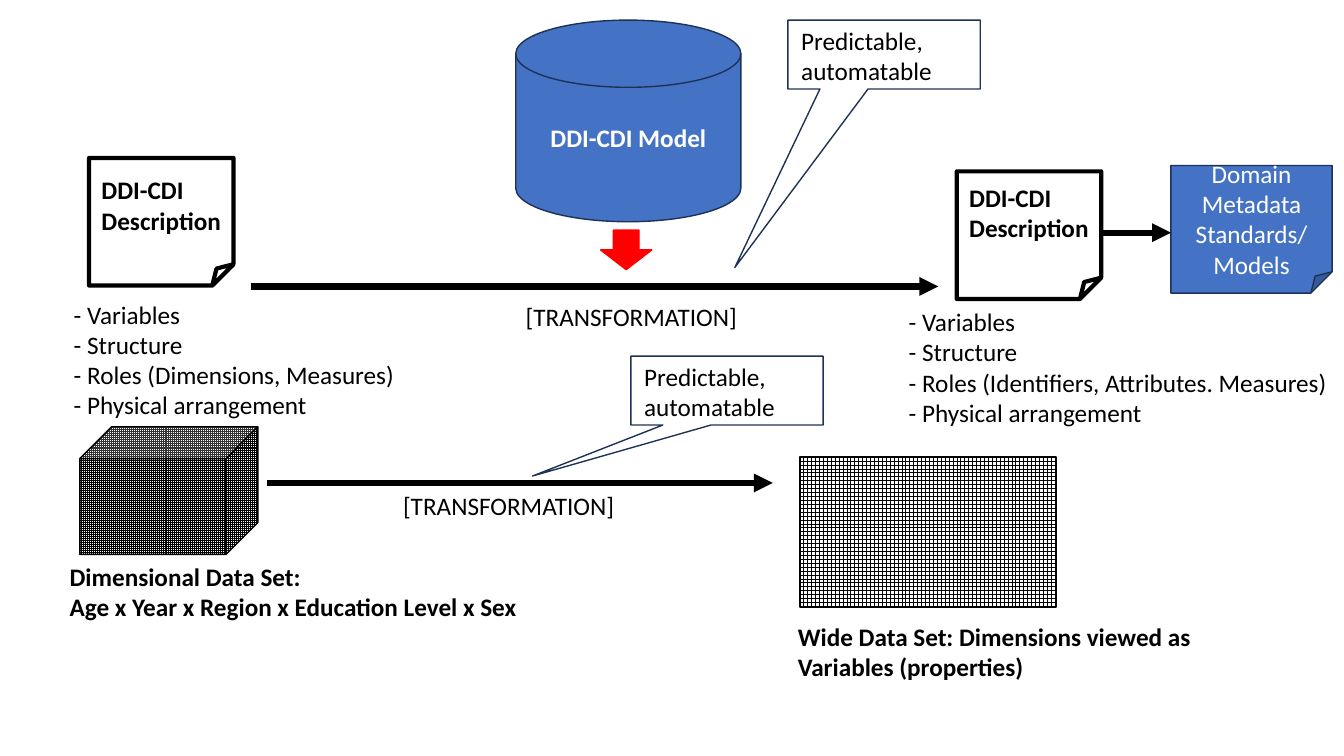
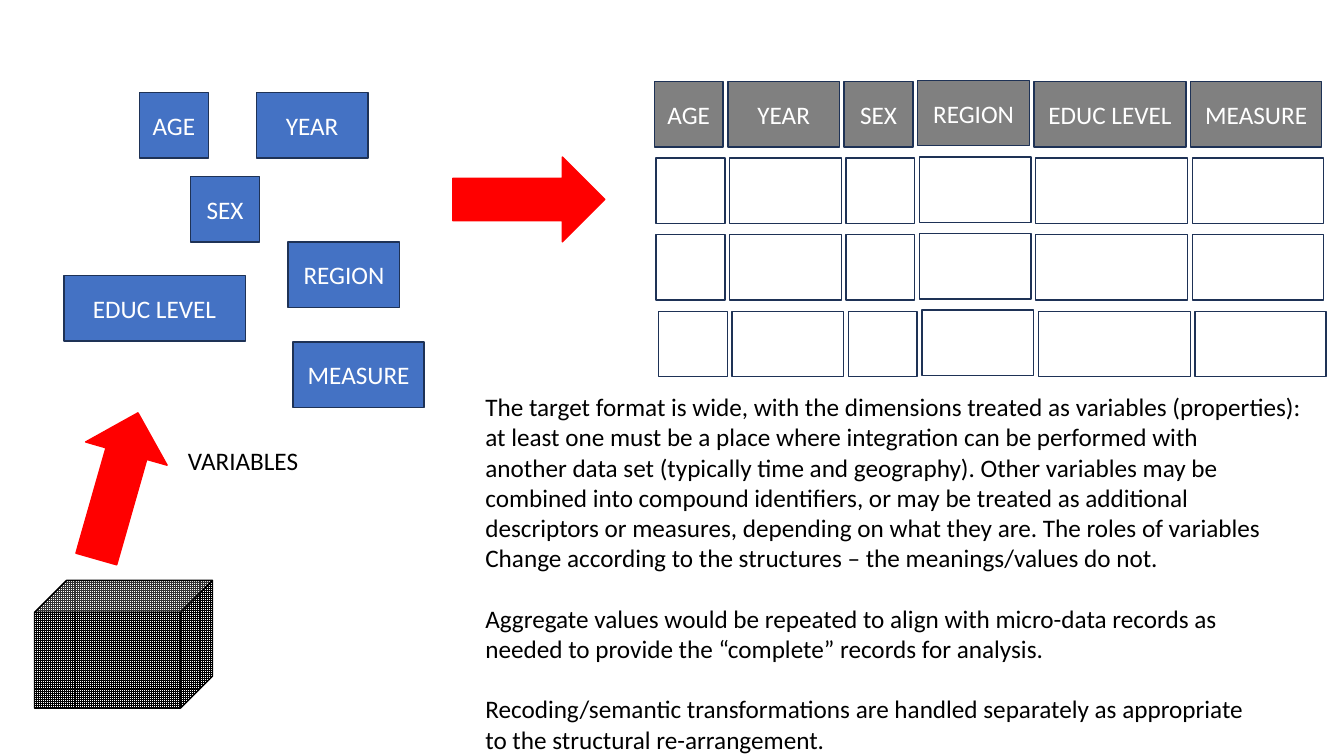
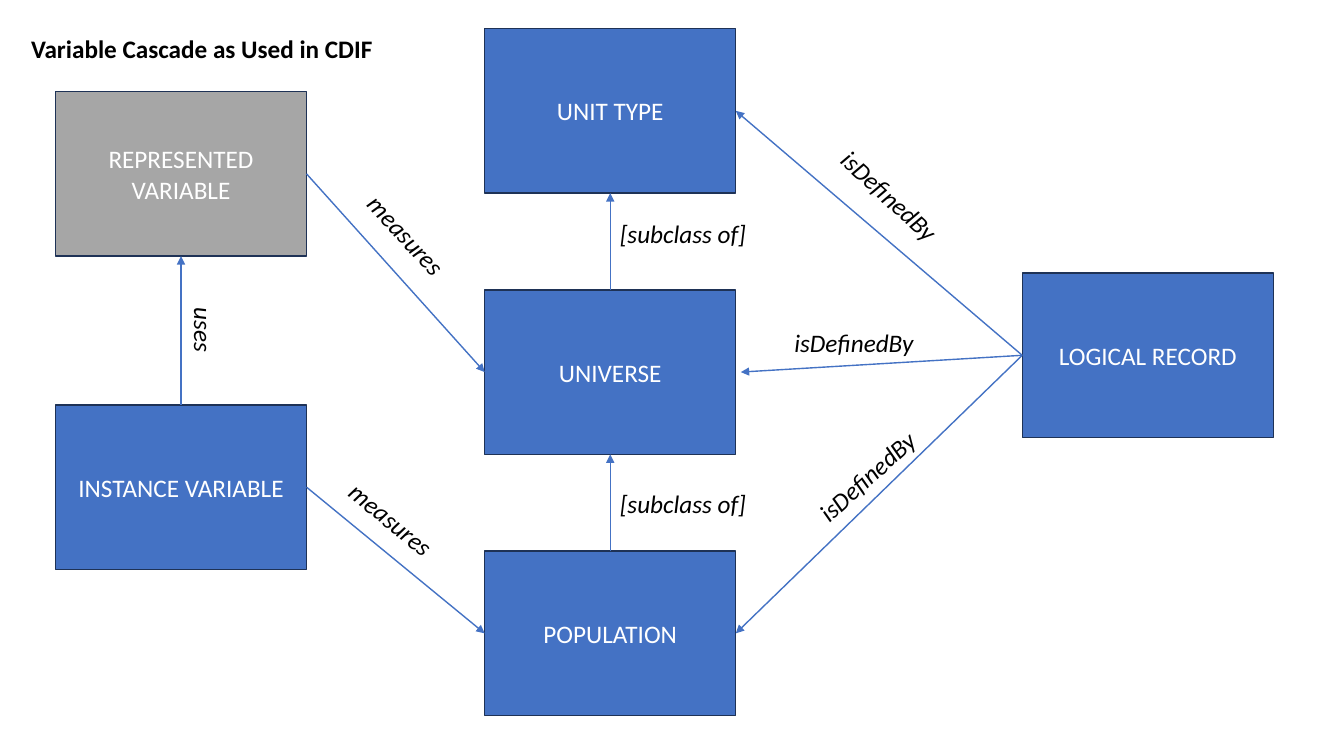
from dataclasses import dataclass
from typing import NamedTuple, Optional

from lxml import etree
from pptx import Presentation
from pptx import util as u
from pptx.dml.color import RGBColor
from pptx.enum import dml, shapes, text
from pptx.oxml import ns

BLACK = RGBColor(0x00, 0x00, 0x00)
WHITE = RGBColor(0xFF, 0xFF, 0xFF)
BLUE = RGBColor(0x44, 0x72, 0xC4)
NAVY = RGBColor(0x1E, 0x32, 0x56)
RED = RGBColor(0xFF, 0x00, 0x00)
GREY = RGBColor(0x80, 0x80, 0x80)
SILVER = RGBColor(0xA6, 0xA6, 0xA6)

FONT = "Calibri"
SIZE = u.Pt(18)
GAP = u.Pt(21.6)
WIDE, HIGH = u.Inches(13.3333), u.Inches(7.5)
COLS, ROWS = 160, 90
LINE = 4.8
PAIR = 8.5
LIST = 15.7

KIND = shapes.MSO_SHAPE
GRID = dml.MSO_PATTERN
ALIGN = text.PP_ALIGN
ANCHOR = text.MSO_ANCHOR


class Box(NamedTuple):
    x: float
    y: float
    w: float
    h: float


@dataclass(frozen=True)
class Look:
    fill: Optional[RGBColor] = None
    edge: RGBColor = NAVY
    weight: float = 1
    grid: Optional[GRID] = None


@dataclass(frozen=True)
class Type:
    color: RGBColor = BLACK
    bold: bool = False
    italic: bool = False


@dataclass(frozen=True)
class Tag:
    words: str
    x: float
    y: float
    w: float
    turn: float = 0


PLAIN, BOLD, SLANT = Type(), Type(bold=True), Type(italic=True)
LIGHT, STRONG = Type(WHITE), Type(WHITE, bold=True)
SOLID, EMPTY, BLANK = Look(BLUE), Look(), Look(WHITE)
HEAD, FADED = Look(GREY), Look(SILVER)
ALERT = Look(RED, RED)
PAGE = Look(None, BLACK, 3)
FINE = Look(None, BLACK, 1, GRID.SMALL_GRID)
LARGE = Look(None, BLACK, 1.5, GRID.LARGE_GRID)


def col(n: float) -> int:
    return round(WIDE * n / COLS)


def row(n: float) -> int:
    return round(HIGH * n / ROWS)


def place(box: Box) -> tuple:
    return col(box.x), row(box.y), col(box.w), row(box.h)


def write(frame, parts: list, style: Type, align=ALIGN.LEFT) -> None:
    for i, words in enumerate(parts):
        para = frame.paragraphs[0] if i == 0 else frame.add_paragraph()
        para.alignment = align
        run = para.add_run()
        run.text = words
        font = run.font
        font.name, font.size = FONT, SIZE
        font.bold, font.italic = style.bold, style.italic
        font.color.rgb = style.color


def fit(frame) -> None:
    frame.word_wrap = False
    frame.auto_size = text.MSO_AUTO_SIZE.SHAPE_TO_FIT_TEXT
    frame.vertical_anchor = ANCHOR.TOP


def label(slide, box: Box, parts: list, style: Type = PLAIN, turn: float = 0):
    item = slide.shapes.add_textbox(*place(box))
    item.rotation = turn
    fit(item.text_frame)
    write(item.text_frame, parts, style)
    return item


def shape(slide, kind, box: Box, look: Look, words: str = "",
          style: Type = LIGHT):
    item = slide.shapes.add_shape(kind, *place(box))
    item.shadow.inherit = False
    if look.grid is not None:
        item.fill.patterned()
        item.fill.pattern = look.grid
        item.fill.fore_color.rgb = BLACK
        item.fill.back_color.rgb = WHITE
    elif look.fill is None:
        item.fill.background()
    else:
        item.fill.solid()
        item.fill.fore_color.rgb = look.fill
    item.line.color.rgb = look.edge
    item.line.width = u.Pt(look.weight)
    if words:
        frame = item.text_frame
        frame.word_wrap = True
        frame.vertical_anchor = ANCHOR.MIDDLE
        write(frame, [words], style, ALIGN.CENTER)
    return item


def arrow(slide, x: float, y: float, x2: float, y2: float,
          color: RGBColor = BLACK, weight: float = 4.5):
    item = slide.shapes.add_connector(
        shapes.MSO_CONNECTOR.STRAIGHT, col(x), row(y), col(x2), row(y2))
    item.line.color.rgb = color
    item.line.width = u.Pt(weight)
    etree.SubElement(item.line._get_or_add_ln(), ns.qn("a:tailEnd"),
                     type="triangle")
    etree.SubElement(item._element.spPr, ns.qn("a:effectLst"))
    return item


def page(slide, x: float, y: float, drop: float) -> None:
    shape(slide, KIND.FOLDED_CORNER, Box(x, y, 17.2, 15.2), PAGE)
    label(slide, Box(x + 0.3, y + drop, 16.8, PAIR),
          ["DDI-CDI", "Description"], BOLD)


def facts(slide, box: Box, roles: str) -> None:
    label(slide, box, ["- Variables", "- Structure", f"- Roles ({roles})",
                       "- Physical arrangement"])


def bubble(slide, x: float, y: float, tip: tuple) -> None:
    item = shape(slide, KIND.RECTANGULAR_CALLOUT, Box(x, y, 22.9, 8.2), EMPTY)
    item.adjustments[0], item.adjustments[1] = tip
    label(slide, Box(x + 0.4, y, 18.1, PAIR), ["Predictable,", "automatable"])


def cube(slide, x: float, y: float) -> None:
    shape(slide, KIND.CUBE, Box(x, y, 21.2, 15.2), FINE)


def change(slide) -> None:
    cube(slide, 9.5, 50.8)
    label(slide, Box(7.1, 66.2, 56, PAIR),
          ["Dimensional Data Set:",
           "Age x Year x Region x Education Level x Sex"], BOLD)
    page(slide, 10.6, 18.8, 1.4)
    facts(slide, Box(7.6, 35, 41, LIST), "Dimensions, Measures")
    shape(slide, KIND.FLOWCHART_MAGNETIC_DISK, Box(61.4, 2.4, 26.8, 24),
          SOLID, "DDI-CDI Model", STRONG)
    arrow(slide, 29.9, 34.1, 111.7, 34.1)
    shape(slide, KIND.DOWN_ARROW, Box(71.5, 27.4, 6.1, 4.7), ALERT)
    arrow(slide, 31.8, 57.5, 92, 57.5)
    shape(slide, KIND.RECTANGLE, Box(95.2, 54.4, 30.5, 17.9), LARGE)
    label(slide, Box(93.8, 73.4, 50.3, PAIR),
          ["Wide Data Set: Dimensions viewed as", "Variables (properties)"],
          BOLD)
    shape(slide, KIND.FOLDED_CORNER, Box(139.4, 19.7, 19.2, 15.2), SOLID,
          "Domain Metadata Standards/ Models")
    page(slide, 113.9, 20.4, 0.7)
    facts(slide, Box(107, 35.9, 52.8, LIST),
          "Identifiers, Attributes. Measures")
    arrow(slide, 131.2, 27.7, 139.4, 27.7)
    for x, y in ((61.4, 35.3), (46.8, 57.8)):
        label(slide, Box(x, y, 27.7, LINE), ["[TRANSFORMATION]"])
    bubble(slide, 93.8, 2.4, (-0.776, 3.091))
    bubble(slide, 75.1, 42.4, (-1.012, 1.241))


BLOCKS = (
    Tag("AGE", 16.6, 11, 8.2),
    Tag("YEAR", 30.5, 11, 13.3),
    Tag("SEX", 22.7, 21, 8.2),
    Tag("REGION", 34.3, 28.8, 13.3),
    Tag("EDUC LEVEL", 7.6, 32.8, 21.6),
    Tag("MEASURE", 34.9, 40.7, 15.6),
)
FIELDS = (("AGE", 8.2), ("YEAR", 13.3), ("SEX", 8.2), ("REGION", 13.3),
          ("EDUC LEVEL", 18.1), ("MEASURE", 15.6))
SHIFTS = (0, 0.2, 0.2, 0.5)
NOTES = (
    ("The target format is wide, with the dimensions treated as variables"
     " (properties):",
     "at least one must be a place where integration can be performed with",
     "another data set (typically time and geography). Other variables may be",
     "combined into compound identifiers, or may be treated as additional",
     "descriptors or measures, depending on what they are. The roles of"
     " variables",
     "Change according to the structures – the meanings/values do not."),
    ("Aggregate values would be repeated to align with micro-data records as",
     "needed to provide the “complete” records for analysis."),
    ("Recoding/semantic transformations are handled separately as appropriate",
     "to the structural re-arrangement."),
)


def target(slide) -> None:
    tall = 7.8
    for tag in BLOCKS:
        shape(slide, KIND.RECTANGLE, Box(tag.x, tag.y, tag.w, tall), SOLID,
              tag.words)
    for i, shift in enumerate(SHIFTS):
        x = 77.9 + shift
        for name, wide in FIELDS:
            lift = 0.15 if name == "REGION" else 0
            shape(slide, KIND.RECTANGLE,
                  Box(x, 9.7 + 9.12 * i - lift, wide, tall),
                  BLANK if i else HEAD, "" if i else name)
            x += wide + 0.55
    label(slide, Box(21.2, 52.4, 15.6, LINE), ["VARIABLES"])
    for x, y, turn in ((53.9, 18.7, 0), (4.9, 52.8, 285.9)):
        item = shape(slide, KIND.RIGHT_ARROW, Box(x, y, 18.1, 10.1), ALERT)
        item.rotation = turn
    cube(slide, 4.1, 69.1)
    item = label(slide, Box(56.6, 46, 101.4, 44.9),
                 [line for note in NOTES for line in note])
    starts = [note[0] for note in NOTES[1:]]
    for para in item.text_frame.paragraphs:
        if para.text in starts:
            para.space_before = GAP


NODES = (
    ("INSTANCE VARIABLE", 6.6, 48.2, SOLID),
    ("REPRESENTED VARIABLE", 6.6, 10.9, FADED),
    ("LOGICAL RECORD", 121.7, 32.5, SOLID),
) + tuple((name, 57.7, 3.4 + 31.1 * i, SOLID)
          for i, name in enumerate(("UNIT TYPE", "UNIVERSE", "POPULATION")))
TOP, LEFT, BOTTOM, RIGHT = range(4)
LINKS = (
    ("INSTANCE VARIABLE", TOP, "REPRESENTED VARIABLE", BOTTOM),
    ("UNIVERSE", TOP, "UNIT TYPE", BOTTOM),
    ("POPULATION", TOP, "UNIVERSE", BOTTOM),
    ("REPRESENTED VARIABLE", RIGHT, "UNIVERSE", LEFT),
    ("INSTANCE VARIABLE", RIGHT, "POPULATION", LEFT),
    ("LOGICAL RECORD", LEFT, "UNIT TYPE", RIGHT),
    ("LOGICAL RECORD", LEFT, "POPULATION", RIGHT),
    ("LOGICAL RECORD", LEFT, "", RIGHT),
)
TAGS = (
    Tag("uses", 20.3, 37, 8, 90),
    Tag("[subclass of]", 72.6, 25.4, 17.6),
    Tag("[subclass of]", 72.6, 57.6, 17.6),
    Tag("measures", 41.3, 25.7, 14.3, 47.4),
    Tag("measures", 39.5, 59.5, 14.3, 39.6),
    Tag("isDefinedBy", 97.6, 21, 16.8, 42.7),
    Tag("isDefinedBy", 94.9, 54.2, 16.8, 318),
    Tag("isDefinedBy", 93.4, 38.4, 16.8),
)


def cascade(slide) -> None:
    title = slide.shapes.title
    title.left, title.top, title.width, title.height = place(
        Box(2.5, 3.4, 43.4, LINE))
    fit(title.text_frame)
    write(title.text_frame, ["Variable Cascade as Used in CDIF"], BOLD)
    nodes = {name: shape(slide, KIND.RECTANGLE, Box(x, y, 29.9, 19.6), look,
                         name)
             for name, x, y, look in NODES}
    for start, out, end, into in LINKS:
        item = arrow(slide, 121.7, 42.3, 88.2, 44.3, BLUE, 1)
        item.begin_connect(nodes[start], out)
        if end:
            item.end_connect(nodes[end], into)
    for tag in TAGS:
        label(slide, Box(tag.x, tag.y, tag.w, LINE), [tag.words], SLANT,
              tag.turn)


def main() -> None:
    deck = Presentation()
    deck.slide_width, deck.slide_height = WIDE, HIGH
    only, bare = deck.slide_layouts[5], deck.slide_layouts[6]
    for draw, layout in ((change, bare), (target, bare), (cascade, only)):
        draw(deck.slides.add_slide(layout))
    deck.save("out.pptx")


if __name__ == "__main__":
    main()
